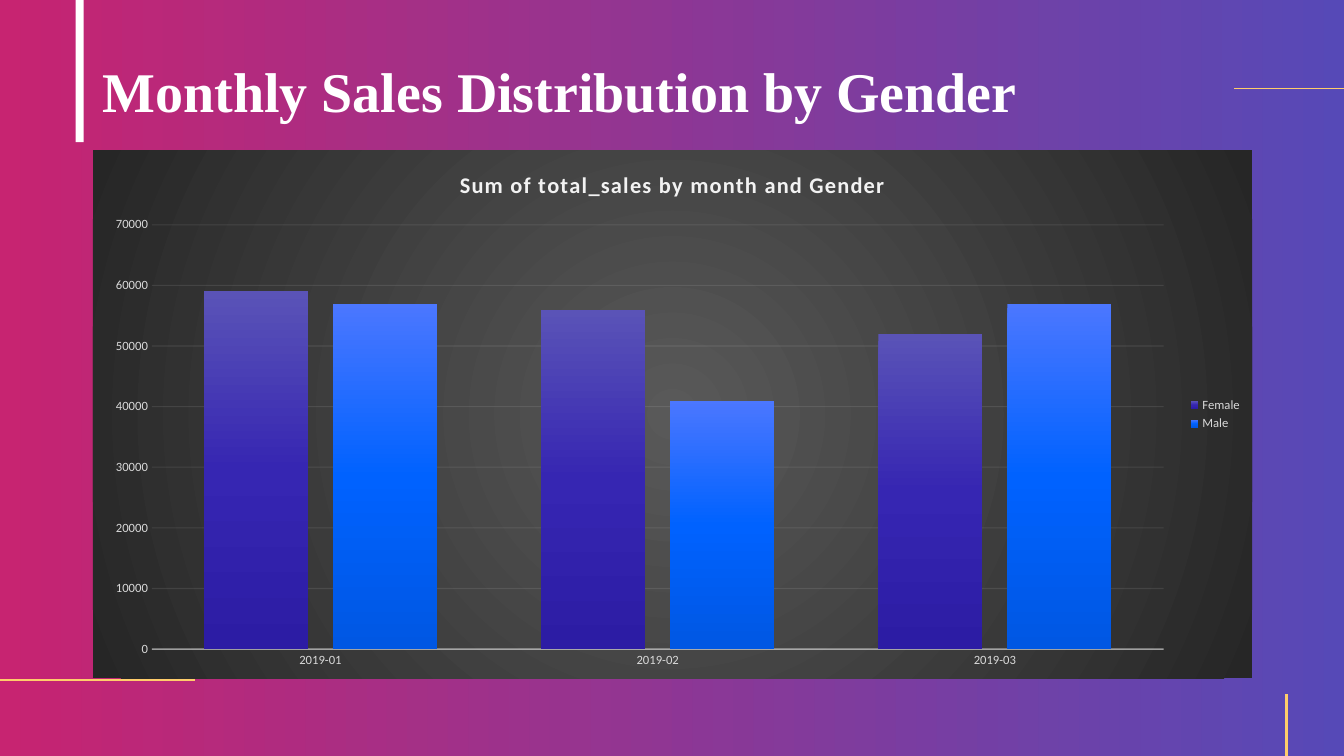
import lxml.etree
import pptx
import pptx.chart.data
import pptx.dml.color
import pptx.enum.chart
import pptx.enum.shapes
import pptx.enum.text
import pptx.oxml
import pptx.oxml.ns
import pptx.util

Inches = pptx.util.Inches
Pt = pptx.util.Pt
qn = pptx.oxml.ns.qn

MONTHS = ["2019-01", "2019-02", "2019-03"]
SERIES = [
    ("Female", [59000, 56000, 52000], ["5A53B7", "3626B2", "2C1CA4"]),
    ("Male", [57000, 41000, 57000], ["4B77FF", "0062FF", "0057E3"]),
]
ACCENT_LINES = [
    (12.24, 0.88, 13.33, 0.88, 0.5),
    (0, 6.75, 1.93, 6.75, 1.5),
    (12.76, 7.5, 12.76, 6.89, 1.5),
]


def color(code):
    return pptx.dml.color.RGBColor.from_string(code)


def paint_gradient(element, colors, angle=None, opacity=100):
    """Replace the first empty fill in element; no angle means radial."""
    gradient = lxml.etree.Element(qn("a:gradFill"), rotWithShape="1")
    stops = lxml.etree.SubElement(gradient, qn("a:gsLst"))
    for index, code in enumerate(colors):
        position = index * 100000 // (len(colors) - 1)
        stop = lxml.etree.SubElement(stops, qn("a:gs"), pos=str(position))
        tint = lxml.etree.SubElement(stop, qn("a:srgbClr"), val=code)
        if opacity < 100:
            lxml.etree.SubElement(tint, qn("a:alpha"), val=str(opacity * 1000))
    if angle is None:
        radial = lxml.etree.SubElement(gradient, qn("a:path"))
        radial.set("path", "circle")
        lxml.etree.SubElement(radial, qn("a:fillToRect"), l="50000", t="50000",
                              r="50000", b="50000")
    else:
        lxml.etree.SubElement(gradient, qn("a:lin"), ang=str(angle * 60000), scaled="0")
    empty_fill = next(element.iter(qn("a:noFill")))
    empty_fill.getparent().replace(empty_fill, gradient)


def set_line(line, code, width, opacity=100):
    line.color.rgb = color(code)
    line.width = Pt(width)
    if opacity < 100:
        tint = line.fill._xPr.find(".//" + qn("a:srgbClr"))
        lxml.etree.SubElement(tint, qn("a:alpha"), val=str(opacity * 1000))


def set_font(font, size, code, name="Calibri", bold=False):
    font.name = name
    font.size = Pt(size)
    font.bold = bold
    font.color.rgb = color(code)


def add_rectangle(slide, left, top, width, height):
    shape = slide.shapes.add_shape(
        pptx.enum.shapes.MSO_SHAPE.RECTANGLE,
        Inches(left), Inches(top), Inches(width), Inches(height))
    shape.shadow.inherit = False
    shape.line.fill.background()
    return shape


def add_backdrop(slide, width, height):
    backdrop = add_rectangle(slide, 0, 0, width, height)
    backdrop.fill.background()
    paint_gradient(backdrop._element, ["BE005A", "3B2CAC"], angle=0, opacity=85)
    title_bar = add_rectangle(slide, 0.75, 0, 0.08, 1.41)
    title_bar.fill.solid()
    title_bar.fill.fore_color.rgb = color("FFFFFF")
    for start_x, start_y, end_x, end_y, weight in ACCENT_LINES:
        connector = slide.shapes.add_connector(
            pptx.enum.shapes.MSO_CONNECTOR.STRAIGHT,
            Inches(start_x), Inches(start_y), Inches(end_x), Inches(end_y))
        set_line(connector.line, "FFCD6B", weight)
        lxml.etree.SubElement(connector._element.spPr, qn("a:effectLst"))


def style_axes(chart):
    for axis in (chart.category_axis, chart.value_axis):
        axis.major_tick_mark = pptx.enum.chart.XL_TICK_MARK.NONE
        axis.minor_tick_mark = pptx.enum.chart.XL_TICK_MARK.NONE
        set_font(axis.tick_labels.font, 9, "D9D9D9")
    set_line(chart.category_axis.format.line, "F2F2F2", 1, opacity=54)
    value_axis = chart.value_axis
    value_axis.minimum_scale, value_axis.maximum_scale = 0, 70000
    value_axis.major_unit = 10000
    value_axis.format.line.fill.background()
    set_line(value_axis.major_gridlines.format.line, "F2F2F2", 0.75, opacity=10)


def add_sales_chart(slide, left, top, width, height):
    data = pptx.chart.data.CategoryChartData(number_format="General")
    data.categories = MONTHS
    for name, values, _ in SERIES:
        data.add_series(name, values)
    chart = slide.shapes.add_chart(
        pptx.enum.chart.XL_CHART_TYPE.COLUMN_CLUSTERED,
        Inches(left), Inches(top), Inches(width), Inches(height), data).chart
    set_font(chart.font, 10, "000000")

    area = pptx.oxml.parse_xml(
        f"<c:spPr {pptx.oxml.ns.nsdecls('c', 'a')}><a:noFill/>"
        "<a:ln><a:noFill/></a:ln></c:spPr>")
    chart._chartSpace.find(qn("c:chart")).addnext(area)
    paint_gradient(area, ["595959", "262626"])

    chart.has_title = True
    run = chart.chart_title.text_frame.paragraphs[0].add_run()
    run.text = "Sum of total_sales by month and Gender"
    set_font(run.font, 16, "F2F2F2", bold=True)
    run.font._element.set("spc", "100")
    chart.chart_title.include_in_layout = False

    chart.has_legend = True
    chart.legend.position = pptx.enum.chart.XL_LEGEND_POSITION.RIGHT
    chart.legend.include_in_layout = False
    set_font(chart.legend.font, 9, "D9D9D9")

    plot = chart.plots[0]
    plot.vary_by_categories = False
    plot.gap_width = 100
    plot.overlap = -24
    for series, (_, _, colors) in zip(plot.series, SERIES):
        series.format.fill.background()
        paint_gradient(series._element, colors, angle=90)
    style_axes(chart)


def add_title(slide, left, top, width, height):
    box = slide.shapes.add_textbox(
        Inches(left), Inches(top), Inches(width), Inches(height))
    frame = box.text_frame
    frame.word_wrap = True
    frame.vertical_anchor = pptx.enum.text.MSO_ANCHOR.MIDDLE
    paragraph = frame.paragraphs[0]
    paragraph.line_spacing = 0.9
    run = paragraph.add_run()
    run.text = "Monthly Sales Distribution by Gender"
    set_font(run.font, 40, "FFFFFF", "Times New Roman", bold=True)


def main():
    presentation = pptx.Presentation()
    presentation.slide_width = Inches(13.33)
    presentation.slide_height = Inches(7.5)
    slide = presentation.slides.add_slide(presentation.slide_layouts[6])
    add_backdrop(slide, 13.33, 7.5)
    add_sales_chart(slide, 0.92, 1.49, 11.5, 5.24)
    add_title(slide, 0.92, 0.21, 11.5, 1.45)
    presentation.save("out.pptx")


if __name__ == "__main__":
    main()
